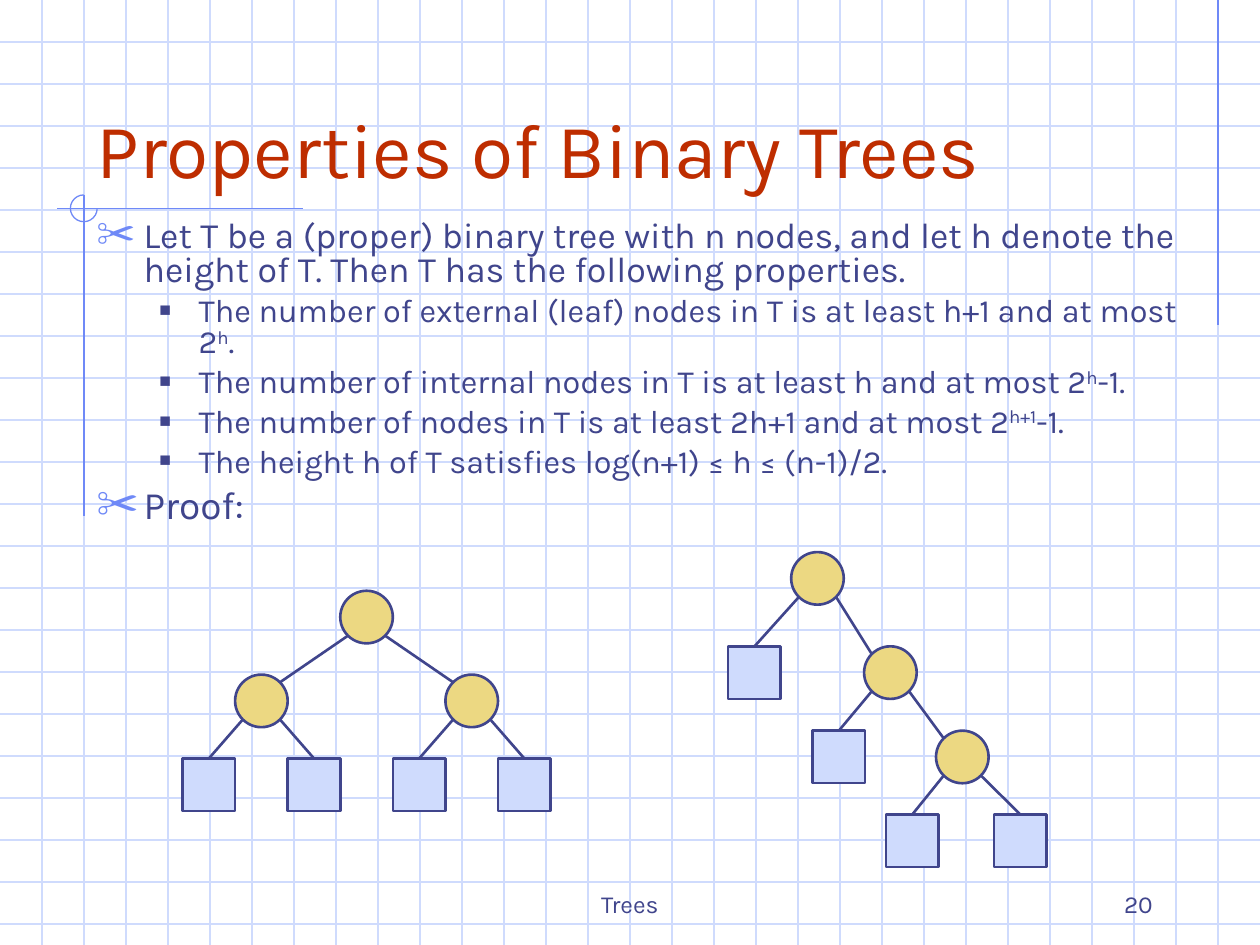
from lxml.etree import SubElement
from pptx import Presentation
from pptx.dml.color import RGBColor
from pptx.enum.shapes import MSO_CONNECTOR as Connector, MSO_SHAPE as Shape
from pptx.enum.text import MSO_ANCHOR as Anchor, MSO_AUTO_SIZE as AutoSize, PP_ALIGN as Align
from pptx.oxml.ns import qn
from pptx.util import Cm, Pt

FONT = "Karla"
COLORS = {
    "grid": "CFDBFD",
    "accent": "6F89F7",
    "ink": "40458C",
    "title": "BE2D00",
    "circle": "ECD882",
    "square": "CFDBFD",
    "paper": "FFFFFF",
}
WIDTH, HEIGHT = 25.4, 19.05
GRID_STEP = WIDTH / 30
NODE = 1.06
ROW = 1.69

BODY = [
    (0, 20.4, 0, ["Let T be a (proper) binary tree with n nodes, and let h denote the "
                  "height of T. Then T has the following properties."]),
    (1, 18.5, 5, ["The number of external (leaf) nodes in T is at least h+1 and at most 2", "h", "."]),
    (1, 18.5, 5, ["The number of internal nodes in T is at least h and at most 2", "h", "-1."]),
    (1, 18.5, 5, ["The number of nodes in T is at least 2h+1 and at most 2", "h+1", "-1."]),
    (1, 18.5, 5, ["The height h of T satisfies log(n+1) ≤ h ≤ (n-1)/2."]),
    (0, 22.2, 6, ["Proof:"]),
]
BULLETS = [("✂", "accent", 110, 0.95, -0.95), ("■", "ink", 60, 2.06, -0.79)]

FULL_TREE = (3 * NODE, 0,
             (NODE, ROW, (0, 2 * ROW), (2 * NODE, 2 * ROW)),
             (5 * NODE, ROW, (4 * NODE, 2 * ROW), (6 * NODE, 2 * ROW)))
SKEWED_TREE = (1.27, 0,
               (0, 1.9),
               (2.74, 1.9,
                (1.7, 3.6),
                (4.19, 3.6, (3.18, 5.29), (5.36, 5.29))))


def rgb(name):
    return RGBColor.from_string(COLORS[name])


def place(shape, left, top, width, height):
    shape.left, shape.top, shape.width, shape.height = map(Cm, (left, top, width, height))


def add_line(shapes, x1, y1, x2, y2, color, width=0.75):
    line = shapes.add_connector(Connector.STRAIGHT, Cm(x1), Cm(y1), Cm(x2), Cm(y2))
    line.line.color.rgb = rgb(color)
    line.line.width = Pt(width)
    SubElement(line._element.spPr, qn("a:effectLst"))
    return line


def add_outlined(shapes, kind, left, top, size, color, width):
    shape = shapes.add_shape(kind, Cm(left), Cm(top), Cm(size), Cm(size))
    shape.shadow.inherit = False
    shape.line.color.rgb = rgb(color)
    shape.line.width = Pt(width)
    return shape


def add_run(paragraph, text, size, color):
    run = paragraph.add_run()
    run.text = text
    run.font.name = FONT
    run.font.size = Pt(size)
    run.font.color.rgb = rgb(color)
    return run


def add_bullet(paragraph, level):
    character, color, percent, margin, indent = BULLETS[level]
    paragraph.level = level
    properties = paragraph._p.get_or_add_pPr()
    properties.set("marL", str(Cm(margin)))
    properties.set("indent", str(Cm(indent)))
    bullet_color = SubElement(properties, qn("a:buClr"))
    SubElement(bullet_color, qn("a:srgbClr"), val=COLORS[color])
    SubElement(properties, qn("a:buSzPct"), val=str(percent * 1000))
    SubElement(properties, qn("a:buChar"), char=character)


def draw_background(slide, width, height):
    group = slide.shapes.add_group_shape()
    shapes = group.shapes
    for row in range(1, int(height / GRID_STEP) + 1):
        add_line(shapes, 0, row * GRID_STEP, width, row * GRID_STEP, "grid")
    for column in range(1, round(width / GRID_STEP)):
        add_line(shapes, column * GRID_STEP, 0, column * GRID_STEP, height, "grid")
    add_line(shapes, width - GRID_STEP, 0, width - GRID_STEP, 6.56, "accent")
    add_line(shapes, 6.1, 4.21, 1.14, 4.21, "accent")
    add_line(shapes, 2 * GRID_STEP, 3.93, 2 * GRID_STEP, 10.4, "accent")
    arc = add_outlined(shapes, Shape.ARC, 1.42, 3.93, 0.54, "accent", 0.75)
    arc.adjustments[0] = 0
    arc.adjustments[1] = 162
    arc.fill.background()
    slide.shapes._spTree.insert(2, group._element)


def write_title(slide, left, top, width, height):
    title = slide.shapes.title
    place(title, left, top, width, height)
    frame = title.text_frame
    frame.auto_size = AutoSize.NONE
    frame.vertical_anchor = Anchor.BOTTOM
    paragraph = frame.paragraphs[0]
    paragraph.alignment = Align.LEFT
    add_run(paragraph, "Properties of Binary Trees", 44, "title")


def write_body(slide, left, top, width, height):
    body = slide.placeholders[1]
    place(body, left, top, width, height)
    frame = body.text_frame
    frame.auto_size = AutoSize.NONE
    for index, (level, size, space, texts) in enumerate(BODY):
        paragraph = frame.add_paragraph() if index else frame.paragraphs[0]
        add_bullet(paragraph, level)
        paragraph.line_spacing = 0.8
        paragraph.space_before = Pt(space)
        for position, text in enumerate(texts):
            run = add_run(paragraph, text, size, "ink")
            if position == 1:
                run.font._element.set("baseline", "30000")


def write_footer(slide, text, alignment, left, top, width, height):
    box = slide.shapes.add_textbox(Cm(left), Cm(top), Cm(width), Cm(height))
    frame = box.text_frame
    frame.word_wrap = True
    frame.vertical_anchor = Anchor.BOTTOM
    paragraph = frame.paragraphs[0]
    paragraph.alignment = alignment
    add_run(paragraph, text, 14, "ink")


def draw_node(shapes, node, left, top):
    x, y, *children = node
    x, y = left + x, top + y
    kind, color = (Shape.OVAL, "circle") if children else (Shape.RECTANGLE, "square")
    shape = add_outlined(shapes, kind, x, y, NODE, "ink", 1.5)
    shape.fill.solid()
    shape.fill.fore_color.rgb = rgb(color)
    center = x + NODE / 2
    diagonal = NODE / 2 * 0.71
    for side, child in zip((-1, 1), children):
        child_shape = draw_node(shapes, child, left, top)
        child_center = left + child[0] + NODE / 2
        is_leaf = len(child) == 2
        edge = add_line(shapes, center + side * diagonal, y + NODE / 2 + diagonal,
                        child_center - side * diagonal,
                        top + child[1] + NODE / 2 - diagonal, "ink", 1.5)
        if is_leaf:
            edge.end_connect(child_shape, 0)
    return shape


def draw_tree(slide, root, left, top):
    draw_node(slide.shapes.add_group_shape().shapes, root, left, top)


def main():
    presentation = Presentation()
    presentation.slide_width, presentation.slide_height = Cm(WIDTH), Cm(HEIGHT)
    slide = presentation.slides.add_slide(presentation.slide_layouts[1])
    slide.background.fill.solid()
    slide.background.fill.fore_color.rgb = rgb("paper")
    draw_background(slide, WIDTH, HEIGHT)
    write_footer(slide, "Trees", Align.CENTER, 8.68, 17.36, 8.04, 1.27)
    write_footer(slide, "20", Align.RIGHT, 18.2, 17.36, 5.29, 1.27)
    write_title(slide, 1.69, 0.85, 21.59, 3.18)
    write_body(slide, 1.69, 4.32, 22.81, 8.08)
    draw_tree(slide, FULL_TREE, 3.68, 11.91)
    draw_tree(slide, SKEWED_TREE, 14.68, 11.13)
    presentation.save("out.pptx")


if __name__ == "__main__":
    main()
